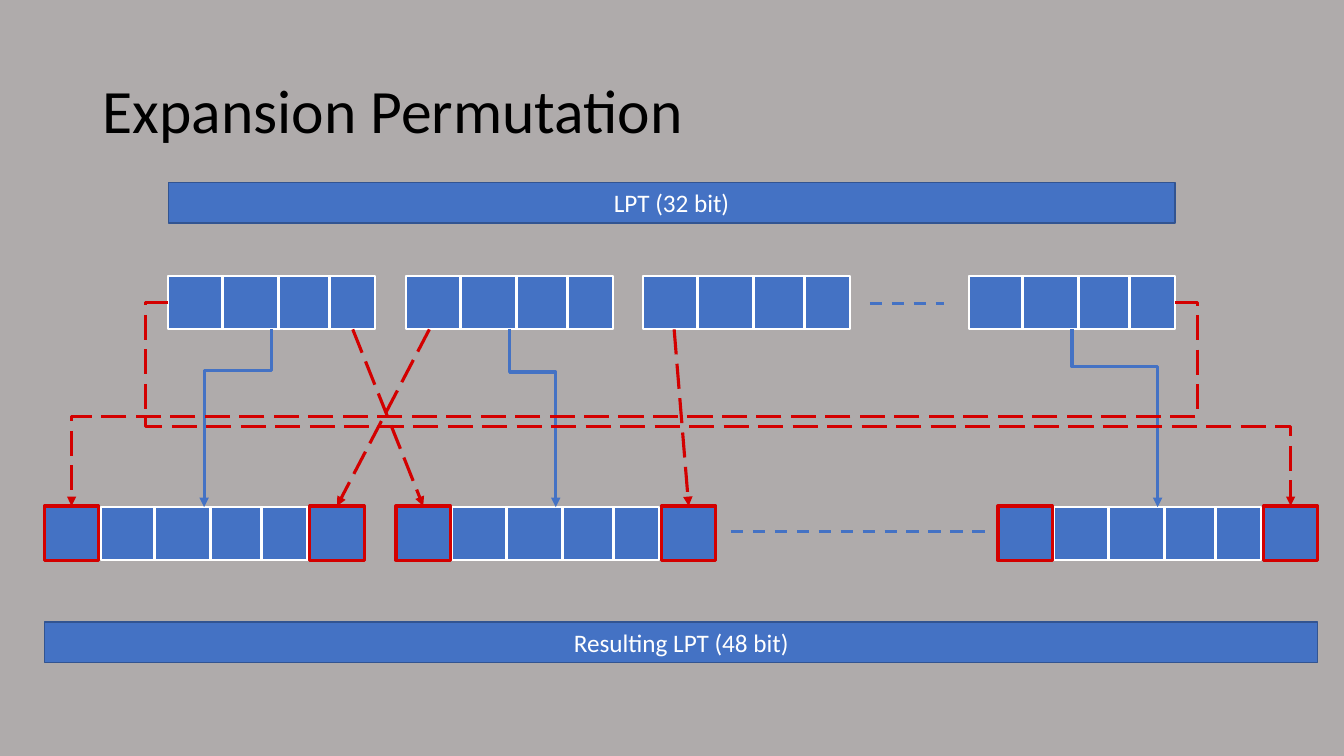
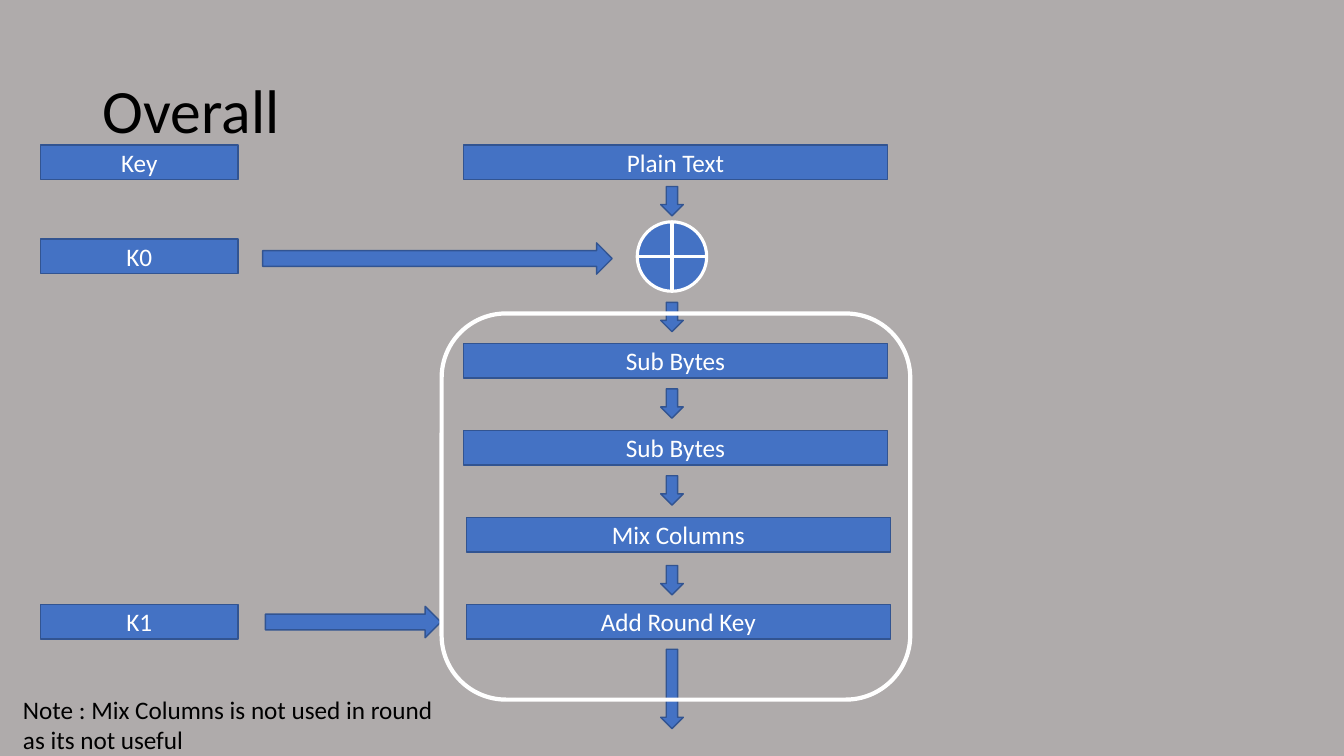
from lxml import etree
from pptx import Presentation
from pptx import util as u
from pptx.dml import color
from pptx.enum import dml, shapes, text
from pptx.oxml import ns

BACKDROP, BLUE, EDGE, WHITE, RED, BLACK = "AFABAB", "4472C4", "325491", "FFFFFF", "D30000", "000000"
FONT = "Calibri"

BLOCK_WIDTH, BLOCK_HEIGHT = 5.21, 1.34
BIT_DIVIDERS = (1.36, 2.77, 4.06)
INPUT_TOP, INPUT_LEFTS = 6.96, (4.24, 10.24, 16.21, 24.41)
OUTPUT_TOP, OUTPUT_LEFTS = 12.78, (2.54, 11.4, 26.57)
EXTRA_BIT, EXTRA_TOP, EXTRA_OFFSETS = 1.37, 12.75, (-1.42, 5.27)


def paint(color_format, value):
    """Set a colour from a hex string."""
    color_format.rgb = color.RGBColor.from_string(value)


def outline(line, value, points, dash=None):
    """Set the colour, width and dash of a line."""
    paint(line.color, value)
    line.width = u.Pt(points)
    if dash:
        line.dash_style = dash


def write(frame, words, size, ink, align=text.PP_ALIGN.LEFT, spacing=None):
    """Write one run of text into a frame."""
    frame.word_wrap = True
    paragraph = frame.paragraphs[0]
    paragraph.alignment = align
    if spacing:
        paragraph.line_spacing = spacing
    run = paragraph.add_run()
    run.text = words
    run.font.name = FONT
    run.font.size = u.Pt(size)
    paint(run.font.color, ink)


def add_figure(parent, kind, left, top, width, height, fill=BLUE, edge=EDGE, points=1):
    """Add a preset shape with its fill and outline."""
    figure = parent.shapes.add_shape(kind, u.Cm(left), u.Cm(top), u.Cm(width), u.Cm(height))
    figure.shadow.inherit = False
    if fill:
        figure.fill.solid()
        paint(figure.fill.fore_color, fill)
    else:
        figure.fill.background()
    outline(figure.line, edge, points)
    return figure


def add_bar(slide, words, left, top, width, height=0.87):
    """Add a labelled bar."""
    bar = add_figure(slide, shapes.MSO_SHAPE.RECTANGLE, left, top, width, height)
    bar.text_frame.vertical_anchor = text.MSO_ANCHOR.MIDDLE
    write(bar.text_frame, words, 18, WHITE, text.PP_ALIGN.CENTER)


def add_note(slide, words, left, top, width, height, size, anchor=text.MSO_ANCHOR.TOP, spacing=None):
    """Add a box of plain text."""
    note = slide.shapes.add_textbox(u.Cm(left), u.Cm(top), u.Cm(width), u.Cm(height))
    note.text_frame.vertical_anchor = anchor
    write(note.text_frame, words, size, BLACK, spacing=spacing)


def add_titled_slide(deck, title):
    """Add a blank slide with its title."""
    slide = deck.slides.add_slide(deck.slide_layouts[6])
    add_note(slide, title, 2.34, 1.02, 29.21, 3.68, 44, text.MSO_ANCHOR.MIDDLE, 0.9)
    return slide


def add_link(parent, start, end, ink, dash=None, arrow=False, kind=shapes.MSO_CONNECTOR.STRAIGHT):
    """Add a connector between two points."""
    link = parent.shapes.add_connector(kind, *(u.Cm(value) for value in (*start, *end)))
    outline(link.line, ink, 2.25, dash)
    properties = link.element.spPr
    if arrow:
        etree.SubElement(properties.find(ns.qn("a:ln")), ns.qn("a:tailEnd"), type="triangle")
    etree.SubElement(properties, ns.qn("a:effectLst"))
    return link


def add_elbow(slide, start, end, ink, bends, dash=None, turn=0):
    """Add a bent arrow whose bends are fractions of its frame."""
    elbow = add_link(slide, start, end, ink, dash, True, shapes.MSO_CONNECTOR.ELBOW)
    properties = elbow.element.spPr
    if turn:
        properties.find(ns.qn("a:xfrm")).set("rot", str(turn * 60000))
    geometry = properties.find(ns.qn("a:prstGeom"))
    geometry.set("prst", f"bentConnector{len(bends) + 2}")
    guides = geometry.find(ns.qn("a:avLst"))
    for number, bend in enumerate(bends, 1):
        etree.SubElement(guides, ns.qn("a:gd"), name=f"adj{number}", fmla=f"val {round(bend * 100000)}")


def add_drop(slide, start, end, bend):
    """Add a bent arrow that leaves downwards and arrives downwards."""
    (x1, y1), (x2, y2) = start, end
    middle_x, middle_y = (x1 + x2) / 2, (y1 + y2) / 2
    rise = abs(x2 - x1) / 2
    reach, turn = ((y2 - y1) / 2, 270) if x2 > x1 else ((y1 - y2) / 2, 90)
    add_elbow(slide, (middle_x + reach, middle_y - rise), (middle_x - reach, middle_y + rise),
              BLUE, (bend,), turn=turn)


def add_block(slide, left, top):
    """Add a group of four bit cells."""
    block = slide.shapes.add_group_shape()
    add_figure(block, shapes.MSO_SHAPE.RECTANGLE, left, top, BLOCK_WIDTH, BLOCK_HEIGHT, edge=WHITE, points=1.5)
    for offset in BIT_DIVIDERS:
        add_link(block, (left + offset, top), (left + offset, top + BLOCK_HEIGHT), WHITE)


def build_expansion(deck):
    """Build the expansion permutation slide."""
    slide = add_titled_slide(deck, "Expansion Permutation")
    add_bar(slide, "LPT (32 bit)", 4.24, 4.6, 25.37, 1.02)
    for left in INPUT_LEFTS:
        add_block(slide, left, INPUT_TOP)
    extras = []
    for left in OUTPUT_LEFTS:
        add_block(slide, left, OUTPUT_TOP)
        extras += [add_figure(slide, shapes.MSO_SHAPE.RECTANGLE, left + offset, EXTRA_TOP,
                              EXTRA_BIT, EXTRA_BIT, edge=RED, points=2.25) for offset in EXTRA_OFFSETS]
    for left, right, level in ((21.92, 23.8, 7.65), (18.42, 24.94, 13.39)):
        add_link(slide, (left, level), (right, level), BLUE, dml.MSO_LINE.DASH)

    input_bottom = INPUT_TOP + BLOCK_HEIGHT
    half = BLOCK_WIDTH / 2
    for source, target, bend in ((0, 0, 0.23), (1, 1, 0.24), (3, 2, 0.21)):
        add_drop(slide, (INPUT_LEFTS[source] + half, input_bottom),
                 (OUTPUT_LEFTS[target] + half, OUTPUT_TOP), bend)

    long_dash = dml.MSO_LINE.LONG_DASH
    for start, target in ((8.89, 2), (10.82, 1), (16.99, 3)):
        crossing = add_link(slide, (start, input_bottom), (start, EXTRA_TOP), RED, long_dash, True)
        crossing.end_connect(extras[target], 0)

    first_extra = OUTPUT_LEFTS[0] + EXTRA_OFFSETS[0] + EXTRA_BIT / 2
    last_extra = OUTPUT_LEFTS[-1] + EXTRA_OFFSETS[1] + EXTRA_BIT / 2
    level = INPUT_TOP + BLOCK_HEIGHT / 2
    add_elbow(slide, (INPUT_LEFTS[0], level), (last_extra, EXTRA_TOP), RED, (-0.02, 0.61), long_dash)
    add_elbow(slide, (INPUT_LEFTS[-1] + BLOCK_WIDTH, level), (first_extra, EXTRA_TOP),
              RED, (-0.02, 0.56), long_dash)
    add_bar(slide, "Resulting LPT (48 bit)", 1.13, 15.67, 32.08, 1.02)


def build_overall(deck):
    """Build the overall cipher flow slide."""
    slide = add_titled_slide(deck, "Overall")
    for key, top in (("Key", 3.65), ("K0", 6.02), ("K1", 15.23)):
        add_bar(slide, key, 1.02, top, 4.98)
    add_bar(slide, "Plain Text", 11.68, 3.65, 10.69)
    add_figure(slide, shapes.MSO_SHAPE.FLOWCHART_OR, 16.06, 5.59, 1.75, 1.75, edge=WHITE, points=2.25)
    steps = (("Sub Bytes", 11.68), ("Sub Bytes", 11.68), ("Mix Columns", 11.75), ("Add Round Key", 11.75))
    for position, (step, left) in enumerate(steps):
        add_bar(slide, step, left, 8.66 + 2.19 * position, 10.69)
    for top, length in ((4.7, 0.74), (7.62, 0.74), (9.8, 0.74), (11.99, 0.74), (14.25, 0.74), (16.36, 2)):
        add_figure(slide, shapes.MSO_SHAPE.DOWN_ARROW, 16.65, top, 0.57, length)
    for left, top, length in ((6.62, 6.12, 8.81), (6.69, 15.28, 4.42)):
        add_figure(slide, shapes.MSO_SHAPE.RIGHT_ARROW, left, top, length, 0.79)
    add_note(slide, "Note : Mix Columns is not used in round as its not useful", 0.33, 17.37, 11.35, 1.68, 18)
    add_figure(slide, shapes.MSO_SHAPE.ROUNDED_RECTANGLE, 11.13, 7.9, 11.81, 9.73, None, WHITE, 3)


def main():
    """Build and save the deck."""
    deck = Presentation()
    deck.slide_width, deck.slide_height = u.Cm(33.87), u.Cm(19.05)
    backdrop = deck.slide_master.background.fill
    backdrop.solid()
    paint(backdrop.fore_color, BACKDROP)
    build_expansion(deck)
    build_overall(deck)
    deck.save("out.pptx")


if __name__ == "__main__":
    main()
